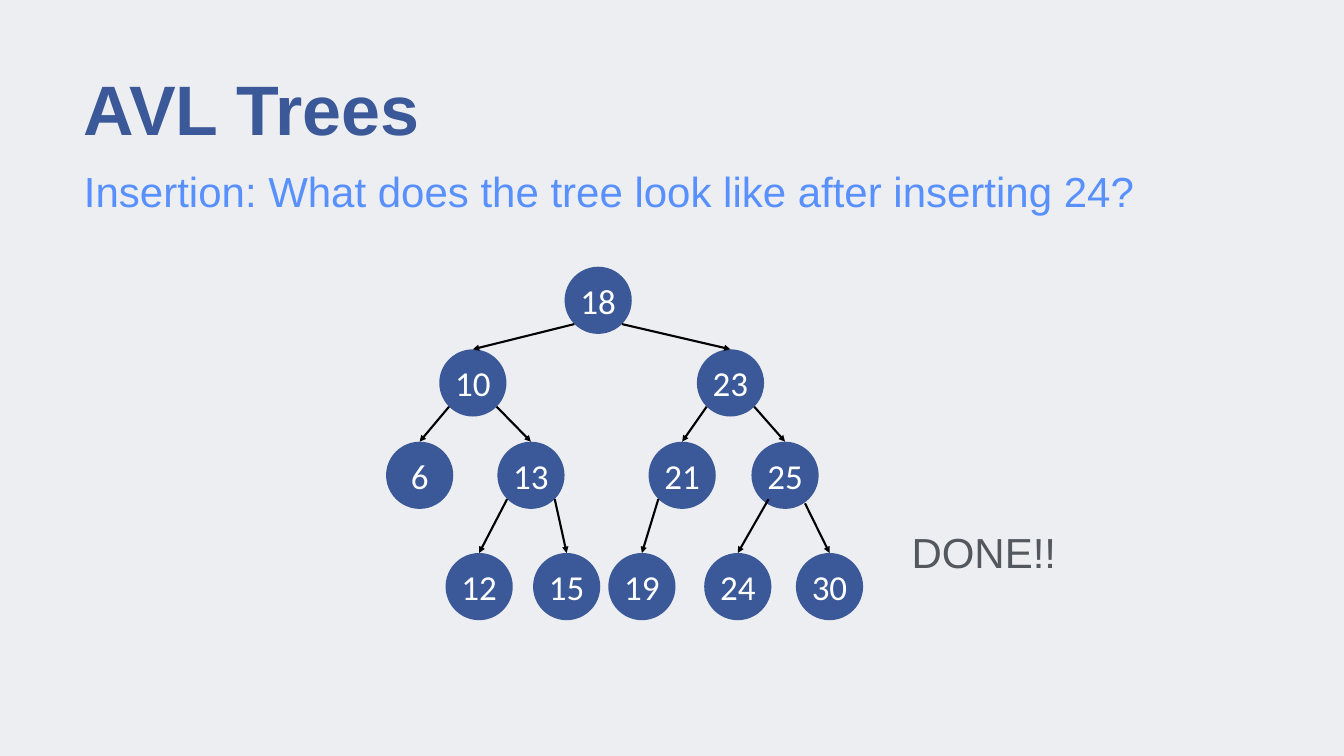
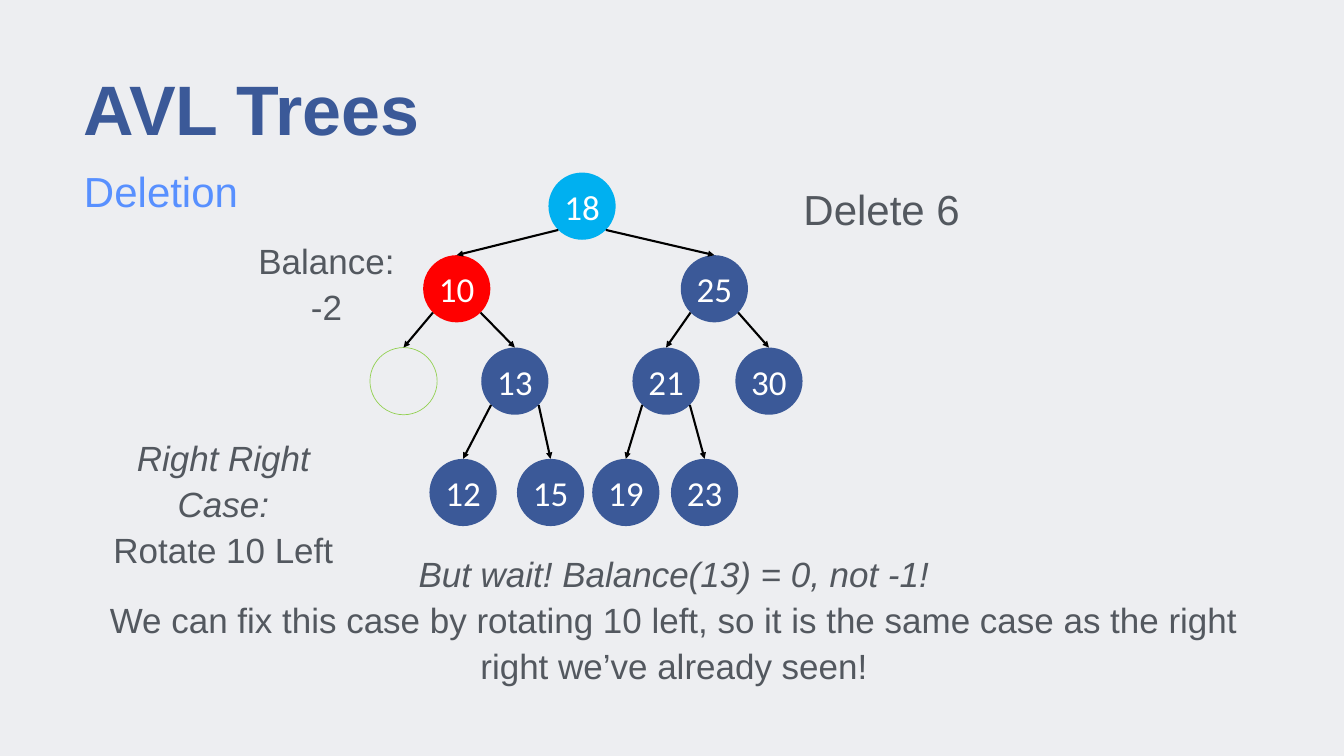
from lxml import etree
from pptx import Presentation
from pptx import util as u
from pptx.dml.color import RGBColor
from pptx.enum import shapes, text
from pptx.oxml import ns

COLORS = {
    "background": "EDEEF1",
    "title": "3B5998",
    "subtitle": "5890FF",
    "note": "53585F",
    "node": "3B5998",
    "root": "00B0F0",
    "unbalanced": "FF0000",
    "deleted": "92D050",
    "label": "FFFFFF",
    "edge": "000000",
}
MARGIN, CONTENT_WIDTH = 120, 1680
NODE_SIZE = 96
EDGE_SPREAD = 34
ROW_DROPS = [0, 118, 250, 409]
SLOT_OFFSETS = {
    "": 0,
    "L": -179, "R": 189,
    "LL": -255, "LR": -96, "RL": 120, "RR": 267,
    "LRL": -170, "LRR": -45, "RLL": 62.5, "RLR": 175, "RRL": 199.5, "RRR": 330.5,
}


def color(name):
    return RGBColor.from_string(COLORS[name])


def style_frame(frame, anchor, inset=0):
    frame.word_wrap = True
    frame.auto_size = text.MSO_AUTO_SIZE.NONE
    frame.vertical_anchor = anchor
    frame.margin_left = frame.margin_right = u.Pt(inset)
    frame.margin_top = frame.margin_bottom = u.Pt(inset)


def style_paragraph(para, size, color_name, align, font="Arial", bold=False, italic=False):
    para.alignment = align
    para.font.name = font
    para.font.size = u.Pt(size)
    para.font.bold = bold
    para.font.italic = italic
    para.font.color.rgb = color(color_name)


def add_page(deck, subtitle):
    page = deck.slides.add_slide(deck.slide_layouts[5])
    title = page.shapes.title
    title.left, title.top = u.Pt(MARGIN), u.Pt(82)
    title.width, title.height = u.Pt(CONTENT_WIDTH), u.Pt(145)
    heading = page.shapes.add_textbox(u.Pt(MARGIN), u.Pt(229.5), u.Pt(CONTENT_WIDTH), u.Pt(88))
    for box, words, size, name in ((title, "AVL Trees", 100, "title"),
                                   (heading, subtitle, 60, "subtitle")):
        style_frame(box.text_frame, text.MSO_ANCHOR.TOP)
        para = box.text_frame.paragraphs[0]
        para.text = words
        para.line_spacing = 1.1
        style_paragraph(para, size, name, text.PP_ALIGN.LEFT, bold=box is title)
    return page


def add_note(page, left, top, width, height, lines, size=50, lead_italic=False):
    box = page.shapes.add_textbox(u.Pt(left), u.Pt(top), u.Pt(width), u.Pt(height))
    frame = box.text_frame
    style_frame(frame, text.MSO_ANCHOR.MIDDLE)
    frame.text = "\n".join(lines)
    for index, para in enumerate(frame.paragraphs):
        para.line_spacing = 1.1
        style_paragraph(para, size, "note", text.PP_ALIGN.CENTER,
                        italic=lead_italic and index == 0)


def add_node(page, left, top, key, fill_name):
    node = page.shapes.add_shape(shapes.MSO_SHAPE.OVAL, u.Pt(left), u.Pt(top),
                                 u.Pt(NODE_SIZE), u.Pt(NODE_SIZE))
    node.shadow.inherit = False
    if key is None:
        node.fill.background()
        node.line.color.rgb = color("deleted")
        node.line.width = u.Pt(1)
        return node
    node.fill.solid()
    node.fill.fore_color.rgb = color(fill_name)
    node.line.fill.background()
    style_frame(node.text_frame, text.MSO_ANCHOR.MIDDLE, 6)
    para = node.text_frame.paragraphs[0]
    para.text = str(key)
    style_paragraph(para, 50, "label", text.PP_ALIGN.CENTER, font="Calibri")
    return node


def add_edge(page, parent, child, start):
    begin_x, begin_y = parent.left + u.Pt(start[0]), parent.top + u.Pt(start[1])
    edge = page.shapes.add_connector(shapes.MSO_CONNECTOR.STRAIGHT, begin_x, begin_y,
                                     child.left + child.width // 2, child.top)
    edge.end_connect(child, 0)
    edge.line.color.rgb = color("edge")
    edge.line.width = u.Pt(3)
    etree.SubElement(edge.get_or_add_ln(), ns.qn("a:tailEnd"), type="triangle")
    etree.SubElement(edge.element.spPr, ns.qn("a:effectLst"))


def add_tree(page, left, top, keys, fills=None, starts=None):
    """Draw keys by slot, each slot naming the left and right turns from the root."""
    fills, starts = fills or {}, starts or {}
    nodes = {
        slot: add_node(page, left + SLOT_OFFSETS[slot], top + ROW_DROPS[len(slot)],
                       key, fills.get(slot, "node"))
        for slot, key in keys.items()
    }
    middle = NODE_SIZE / 2
    for slot, node in nodes.items():
        if slot:
            turn = -1 if slot.endswith("L") else 1
            start = (middle + turn * EDGE_SPREAD, middle + EDGE_SPREAD)
            add_edge(page, nodes[slot[:-1]], node, starts.get(slot, start))


def build_insertion(deck):
    page = add_page(deck, "Insertion: What does the tree look like after inserting 24?")
    keys = {"": 18, "L": 10, "R": 23, "LL": 6, "LR": 13, "RL": 21, "RR": 25,
            "LRL": 12, "LRR": 15, "RLL": 19, "RRL": 24, "RRR": 30}
    add_tree(page, 806.5, 381, keys, starts={"RRL": (24.5, 82), "RRR": (76.5, 88)})
    add_note(page, 1236, 744.5, 339, 80, ["DONE!!"], size=60)


def build_deletion(deck):
    page = add_page(deck, "Deletion")
    keys = {"": 18, "L": 10, "R": 25, "LL": None, "LR": 13, "RL": 21, "RR": 30,
            "LRL": 12, "LRR": 15, "RLL": 19, "RLR": 23}
    add_tree(page, 783.5, 246.5, keys, fills={"": "root", "L": "unbalanced"})
    add_note(page, 1134, 254, 251, 80, ["Delete 6"], size=60)
    add_note(page, 341.5, 368, 250, 67, ["Balance: -2"])
    add_note(page, 149, 650, 340.5, 133, ["Right Right Case:", "Rotate 10 Left"],
             lead_italic=True)
    add_note(page, 126.5, 782, 1673, 200,
             ["But wait! Balance(13) = 0, not -1!",
              "We can fix this case by rotating 10 left, so it is the same case "
              "as the right right we’ve already seen!"],
             lead_italic=True)


def main():
    deck = Presentation()
    deck.slide_width, deck.slide_height = u.Pt(1920), u.Pt(1080)
    backdrop = deck.slide_master.background.fill
    backdrop.solid()
    backdrop.fore_color.rgb = color("background")
    build_insertion(deck)
    build_deletion(deck)
    deck.save("out.pptx")


if __name__ == "__main__":
    main()
